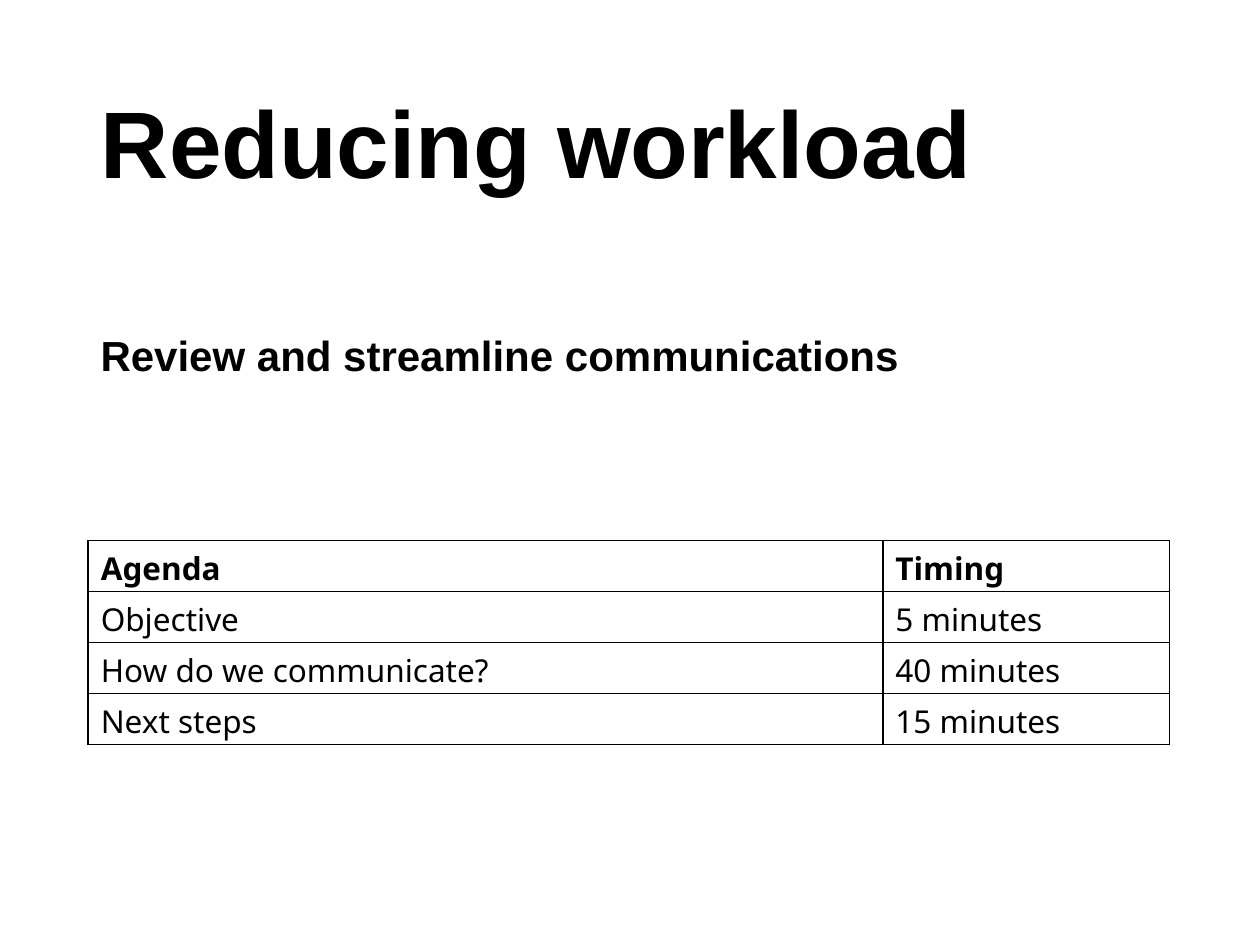
from dataclasses import dataclass

from lxml import etree
from pptx import Presentation
from pptx.dml.color import RGBColor
from pptx.enum.text import MSO_ANCHOR, PP_ALIGN
from pptx.oxml.ns import qn
from pptx.util import Inches, Pt

LEFT = PP_ALIGN.LEFT
MIDDLE = MSO_ANCHOR.MIDDLE
TOP = MSO_ANCHOR.TOP
TITLE_ONLY_LAYOUT = 5
SLIDE_WIDTH, SLIDE_HEIGHT = Inches(10), Inches(7.5)


@dataclass(frozen=True)
class Theme:
    ink: str = "000000"
    paper: str = "FFFFFF"
    heading_font: str = "Arial"
    table_font: str = "Noto Sans"
    title_size: int = 54
    subtitle_size: int = 24
    table_size: int = 18
    border_width: int = 1


THEME = Theme()
MARGIN = 0.7
TITLE_BOX = (MARGIN, 0.43, 8.5, 1.37)
SUBTITLE_BOX = (MARGIN, 2.57, 8.27, 0.5)
AGENDA_BOX = (MARGIN, 4.29, 8.58, 1.62)
AGENDA_COLUMN_SHARES = (0.735, 0.265)
AGENDA = [
    ("Agenda", "Timing"),
    ("Objective", "5 minutes"),
    ("How do we communicate?", "40 minutes"),
    ("Next steps", "15 minutes"),
]


def write_text(text_frame, text, font_name, size, bold):
    text_frame.text = text
    paragraph = text_frame.paragraphs[0]
    paragraph.alignment = LEFT
    font = paragraph.font
    font.name, font.size, font.bold = font_name, Pt(size), bold
    font.color.rgb = RGBColor.from_string(THEME.ink)


def add_title(slide, box, text):
    title = slide.shapes.title
    title.left, title.top, title.width, title.height = map(Inches, box)
    title.text_frame.vertical_anchor = MIDDLE
    write_text(title.text_frame, text, THEME.heading_font, THEME.title_size, True)


def add_subtitle(slide, box, text):
    text_frame = slide.shapes.add_textbox(*map(Inches, box)).text_frame
    text_frame.word_wrap = True
    write_text(text_frame, text, THEME.heading_font, THEME.subtitle_size, True)


def set_cell_borders(cell):
    properties = cell._tc.get_or_add_tcPr()
    for index, side in enumerate(("a:lnL", "a:lnR", "a:lnT", "a:lnB")):
        line = etree.Element(qn(side), w=str(Pt(THEME.border_width)))
        fill = etree.SubElement(line, qn("a:solidFill"))
        etree.SubElement(fill, qn("a:srgbClr"), val=THEME.ink)
        properties.insert(index, line)


def add_agenda(slide, box, rows):
    left, top, width, height = map(Inches, box)
    table = slide.shapes.add_table(
        len(rows), len(rows[0]), left, top, width, height).table
    table.horz_banding = False
    for column, share in zip(table.columns, AGENDA_COLUMN_SHARES):
        column.width = round(width * share)
    for row_index, texts in enumerate(rows):
        for column_index, text in enumerate(texts):
            cell = table.cell(row_index, column_index)
            cell.vertical_anchor = TOP
            cell.margin_top, cell.margin_bottom = Inches(0.05), 0
            cell.fill.solid()
            cell.fill.fore_color.rgb = RGBColor.from_string(THEME.paper)
            set_cell_borders(cell)
            write_text(cell.text_frame, text, THEME.table_font,
                       THEME.table_size, row_index == 0)


def main():
    presentation = Presentation()
    presentation.slide_width, presentation.slide_height = SLIDE_WIDTH, SLIDE_HEIGHT
    slide = presentation.slides.add_slide(
        presentation.slide_layouts[TITLE_ONLY_LAYOUT])
    add_title(slide, TITLE_BOX, "Reducing workload")
    add_subtitle(slide, SUBTITLE_BOX, "Review and streamline communications")
    add_agenda(slide, AGENDA_BOX, AGENDA)
    presentation.save("out.pptx")


if __name__ == "__main__":
    main()
